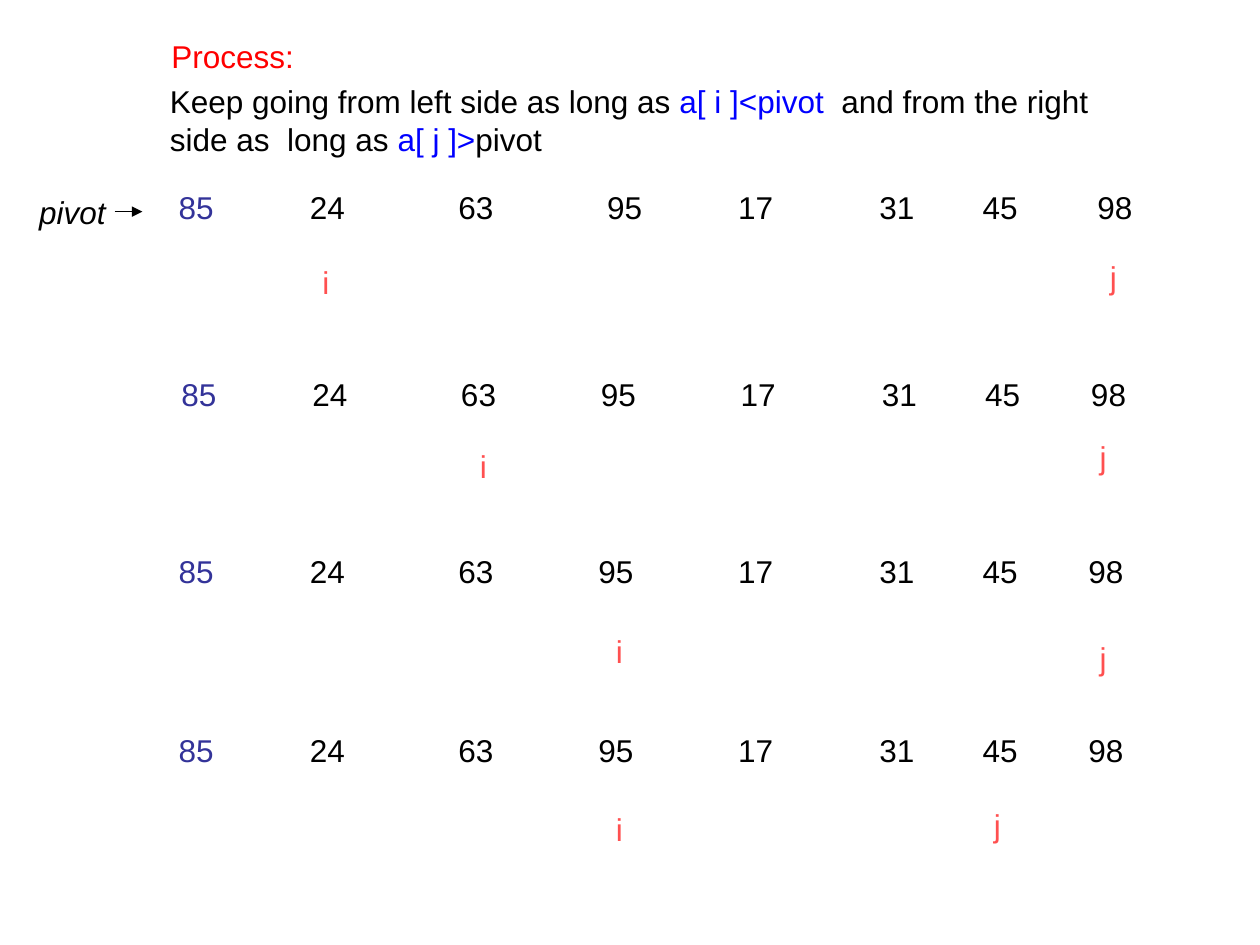
import pptx
import pptx.util
import pptx.dml.color
import pptx.enum.text
import pptx.enum.shapes
import pptx.oxml
import pptx.oxml.ns
import lxml.etree

Inches = pptx.util.Inches
RGBColor = pptx.dml.color.RGBColor
Text = pptx.enum.text
Kinds = pptx.enum.shapes
qn = pptx.oxml.ns.qn

BLACK = RGBColor(0, 0, 0)
WHITE = RGBColor(255, 255, 255)
RED = RGBColor(255, 0, 0)
CORAL = RGBColor(255, 80, 80)
BLUE = RGBColor(0, 0, 255)
NAVY = RGBColor(51, 51, 153)

INTRO = [
    ("Keep going from left side as long as ", BLACK),
    ("a[ i ]<pivot", BLUE),
    ("  and from the right side as  long as ", BLACK),
    ("a[ j ]>", BLUE),
    ("pivot", BLACK),
]
FIRST = 85
REST = [24, 63, 95, 17, 31, 45, 98]
STOPS = [1.04, 2.22, 3.33, 4.44, 5.56, 6.38, 7.22]
WIDE = [1.04, 2.22, 3.4, 4.44, 5.56, 6.38, 7.29]
ROWS = [
    (1.32, 1.44, WIDE, (2.25, 2.04), (8.5, 2)),
    (1.34, 2.93, STOPS, (3.5, 3.5), (8.42, 3.43)),
    (1.32, 4.33, STOPS, (4.58, 4.97), (8.42, 5.02)),
    (1.32, 5.75, STOPS, (4.58, 6.38), (7.58, 6.35)),
]


class Deck:
    font = {"name": "Arial", "size": pptx.util.Pt(18), "bold": False}
    frame = {
        "word_wrap": True,
        "auto_size": Text.MSO_AUTO_SIZE.NONE,
        "vertical_anchor": Text.MSO_ANCHOR.TOP,
        "margin_left": Inches(0.1),
        "margin_right": Inches(0.1),
        "margin_top": Inches(0.05),
        "margin_bottom": Inches(0.05),
    }

    def __init__(self):
        self.show = pptx.Presentation()
        self.show.slide_width = Inches(10)
        self.show.slide_height = Inches(7.5)
        self.slide = self.show.slides.add_slide(self.show.slide_layouts[5])
        self.shapes = self.slide.shapes

    def put(self, item, style):
        for key, value in style.items():
            setattr(item, key, value)

    def say(self, shape, runs, align=Text.PP_ALIGN.LEFT, frame=None, font=None):
        self.put(shape.text_frame, self.frame | (frame or {}))
        para = shape.text_frame.paragraphs[0]
        para.alignment = align
        for text, color in runs:
            run = para.add_run()
            run.text = text
            self.put(run.font, self.font | (font or {}))
            run.font.color.rgb = color
        return para

    def title(self, box, text):
        shape = self.shapes.title
        names = ("left", "top", "width", "height")
        self.put(shape, dict(zip(names, map(Inches, box))))
        self.say(shape, [(text, RED)])

    def text(self, box, runs):
        return self.say(self.shapes.add_textbox(*map(Inches, box)), runs)

    def row(self, left, top, stops):
        rest = "".join(f"\t{num}" for num in REST)
        para = self.text((left, top, 7.91, 0.4), [(str(FIRST), NAVY), (rest, BLACK)])
        tabs = lxml.etree.SubElement(para._p.get_or_add_pPr(), qn("a:tabLst"))
        for stop in stops:
            lxml.etree.SubElement(tabs, qn("a:tab"), pos=str(Inches(stop)), algn="l")

    def mark(self, spot, name):
        para = self.text((*spot, 0.67, 0.4), [(name, CORAL)])
        para._p.get_or_add_pPr().set("marL", str(Inches(0.21)))

    def label(self, box, text):
        kind = Kinds.MSO_SHAPE.RECTANGLE
        shape = self.shapes.add_shape(kind, *map(Inches, box))
        shape.shadow.inherit = False
        shape.fill.solid()
        shape.fill.fore_color.rgb = WHITE
        shape.line.color.rgb = WHITE
        shape.line.width = pptx.util.Pt(0.75)
        frame = {"word_wrap": False, "vertical_anchor": Text.MSO_ANCHOR.MIDDLE}
        self.say(shape, [(text, BLACK)], Text.PP_ALIGN.CENTER, frame, {"italic": True})
        return shape

    def arrow(self, start, ends):
        line = self.shapes.add_connector(Kinds.MSO_CONNECTOR.STRAIGHT, *map(Inches, ends))
        line.begin_connect(start, 3)
        line.line.color.rgb = BLACK
        line.line.width = pptx.util.Pt(0.75)
        lxml.etree.SubElement(line.get_or_add_ln(), qn("a:tailEnd"), type="triangle")
        lxml.etree.SubElement(line._element.spPr, qn("a:effectLst"))


def main():
    deck = Deck()
    deck.title((1.26, 0.24, 3.08, 0.4), "Process:")
    deck.text((1.25, 0.6, 7.58, 0.7), INTRO)
    for left, top, stops, low, high in ROWS:
        deck.row(left, top, stops)
        deck.mark(low, "i")
        deck.mark(high, "j")
    pivot = deck.label((0.24, 1.56, 0.67, 0.24), "pivot")
    deck.arrow(pivot, (0.91, 1.68, 1.13, 1.68))
    deck.show.save("out.pptx")


if __name__ == "__main__":
    main()
